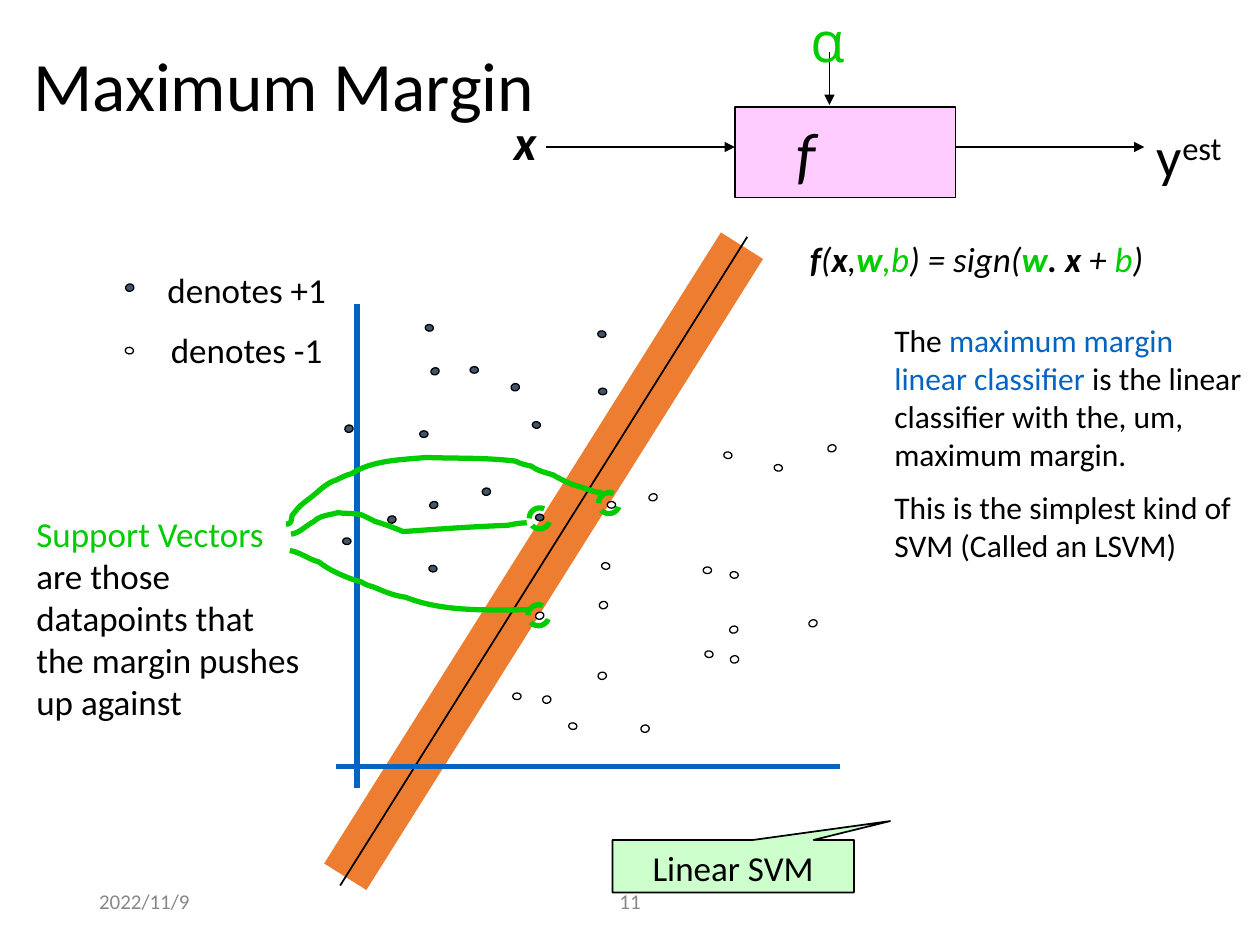
from pptx import Presentation
from pptx.dml.color import RGBColor
from pptx.enum import dml, shapes, text
from pptx.oxml.ns import qn
from pptx.util import Pt
from lxml import etree

COLORS = {"black": "000000", "white": "FFFFFF", "gray": "888888", "navy": "44546A",
          "blue": "0563C1", "green": "00CC00", "orange": "ED7D31",
          "pink": "FFCCFF", "mint": "CCFFCC"}
ALIGN = {"left": text.PP_ALIGN.LEFT, "mid": text.PP_ALIGN.CENTER}
KIND = shapes.MSO_SHAPE

# Data points by tilt: angle -> (width, height, +1 corners, -1 corners)
DOTS = {
    0: (4.8, 3.8,
        [(195.8, 307.4), (342, 221.8), (268.6, 209.5), (306, 293.8), (239.8, 246.2)],
        [(293, 396), (347, 286.6), (401.8, 324)]),
    341.4: (4.8, 4,
            [(246.2, 210.2), (245.5, 286.6)],
            [(306, 349.9), (473, 254.2), (416.9, 357.8), (370.8, 282.2), (462.2, 354.2)]),
    98.3: (3.8, 4.7,
           [(304.6, 240.5), (245.5, 322.6), (342, 188.6), (243.4, 185)],
           [(72, 198), (325.4, 412.6), (417.6, 326.2), (344.2, 321.1), (442.8, 265),
            (414, 257.8), (403.2, 371.5)]),
    79.6: (4.2, 4.8,
           [(72, 162), (275.8, 278.6), (221.8, 294.5), (292.3, 218.9), (197.3, 242.6)],
           [(366.5, 414), (342, 383.8), (342.7, 343.4), (310.3, 397.4), (417.6, 374.4)]),
}

# Pointers to the support vectors: a start, then Bezier triples
CURVES = [
    [(166.3, 305.3), (171.4, 304.6), (175, 300.2), (179.3, 298.1),
     (182.9, 294.5), (187.9, 294.5), (193, 293), (199.4, 293.8), (202.3, 293), (207.4, 294.5),
     (209.8, 295.7), (212.2, 296.9), (214.6, 298.1),
     (219.6, 299.5), (225.4, 301.7), (230.4, 303.8),
     (249.8, 302.4), (270, 301), (290.2, 300.2), (293.8, 299.5), (297.4, 298.8), (301, 298.8)],
    [(163.4, 299.5), (164.2, 299.5), (165.6, 299.5), (165.6, 298.8),
     (167, 298.1), (166.3, 295.9), (167, 294.5), (167.8, 293), (169.2, 292.3), (169.9, 290.9),
     (171.4, 288.7), (178.6, 283.7), (179.3, 283), (183.6, 279.4), (187.2, 275.8), (192.2, 274.3),
     (195.1, 272.9), (198, 271.4), (200.9, 270.7), (213.1, 262.8), (229.7, 262.8), (243.4, 261.4),
     (260.6, 262.1), (277.2, 261.4), (294.5, 263.5), (297.4, 265), (300.2, 265.7), (303.8, 266.4),
     (307.4, 269.3), (311.8, 270), (316.1, 271.4), (321.1, 274.3), (325.4, 276.5), (330.5, 277.9),
     (335.5, 279.4), (339.8, 281.5), (344.2, 281.5)],
    [(165.6, 314.6), (171.4, 315.4), (176.4, 319.7), (182.2, 321.1),
     (188.6, 326.2), (198.7, 330.5), (206.6, 332.6), (209.5, 334.8), (212.4, 334.8), (215.3, 336.2),
     (220.3, 338.4), (226.1, 340.6), (231.8, 341.3), (253.4, 349.9), (279.4, 348.5), (302.4, 348.5)],
]
RINGS = [(342, 281.5), (302.4, 290.2), (301.7, 345.6)]


def rgb(name):
    return RGBColor.from_string(COLORS[name])


def write(frame, paras, size, color="black", align="left", font="Calibri", gap=0,
          anchor=text.MSO_ANCHOR.TOP):
    """Each paragraph is a list of (words, style); style holds color, b, i or base."""
    frame.word_wrap = True
    frame.vertical_anchor = anchor
    for n, runs in enumerate(paras):
        para = frame.paragraphs[0] if n == 0 else frame.add_paragraph()
        para.alignment = ALIGN[align]
        para.space_before = Pt(gap if n else 0)
        para.font.size, para.font.name = Pt(size), font
        para.font.color.rgb = rgb(color)
        for words, style in runs:
            run = para.add_run()
            run.text = words
            if "color" in style:
                run.font.color.rgb = rgb(style["color"])
            if "b" in style:
                run.font.bold = style["b"]
            if "i" in style:
                run.font.italic = style["i"]
            if "base" in style:
                run._r.get_or_add_rPr().set("baseline", str(style["base"] * 1000))


def label(slide, box, paras, size, **opts):
    frame = slide.shapes.add_textbox(*map(Pt, box)).text_frame
    write(frame, paras, size, **opts)
    return frame


def paint(item, fill, line, width):
    item.shadow.inherit = False
    if fill:
        item.fill.solid()
        item.fill.fore_color.rgb = rgb(fill)
    else:
        item.fill.background()
    item.line.color.rgb = rgb(line)
    item.line.width = Pt(width)


def shape(slide, kind, box, fill=None, line="black", width=1):
    item = slide.shapes.add_shape(kind, *map(Pt, box))
    paint(item, fill, line, width)
    return item


def line(slide, ends, color="black", width=1, arrow=False):
    item = slide.shapes.add_connector(shapes.MSO_CONNECTOR.STRAIGHT, *map(Pt, ends))
    item.line.color.rgb = rgb(color)
    item.line.width = Pt(width)
    if arrow:
        etree.SubElement(item.line._get_or_add_ln(), qn("a:tailEnd"), type="triangle")
    etree.SubElement(item._element.spPr, qn("a:effectLst"))


def curve(slide, pts):
    build = slide.shapes.build_freeform(*map(Pt, pts[0]))
    build.add_line_segments([tuple(map(Pt, p)) for p in pts[1:]], close=False)
    item = build.convert_to_shape()
    paint(item, None, "green", 3)
    # Join each three segments into one Bezier
    segs = list(item._element.iter(qn("a:lnTo")))
    for k in range(0, len(segs), 3):
        first, *rest = segs[k:k + 3]
        first.tag = qn("a:cubicBezTo")
        for seg in rest:
            first.append(seg[0])
            seg.getparent().remove(seg)


def dots(slide):
    for tilt, (wide, high, plus, minus) in DOTS.items():
        for fill, spots in (("navy", plus), ("white", minus)):
            for spot in spots:
                shape(slide, KIND.OVAL, (*spot, wide, high), fill, width=0.75).rotation = tilt


def flow(slide):
    """Input, function box, parameter and output."""
    box = shape(slide, KIND.RECTANGLE, (420, 61, 126, 52), "pink")
    write(box.text_frame, [[("f", {"i": True})]], 36, align="mid",
          anchor=text.MSO_ANCHOR.MIDDLE)
    box.text_frame.margin_right = Pt(52)
    for ends in ((312, 84, 420, 84), (474, 30, 474, 60), (546, 84, 654, 84)):
        line(slide, ends, arrow=True)
    label(slide, (276, 60, 48, 41), [[("x", {"b": True, "i": True})]], 28, align="mid")
    label(slide, (456, 0, 30, 45), [[("α", {})]], 32, color="green", align="mid",
          font="Open Sans")
    label(slide, (654, 66, 66, 45), [[("y", {}), ("est", {"base": 30})]], 32)


def notes(slide):
    """Legend, formula and explanations."""
    label(slide, (66, 150, 150, 67), [[("denotes +1", {})], [("denotes -1", {})]], 20,
          align="mid", gap=10)
    bold, slant = {"b": True, "i": True}, {"i": True}
    green = {"color": "green"}
    label(slide, (432, 132, 252, 31), [[
        ("f", bold), ("(", slant), ("x", bold), (",", slant), ("w", bold | green),
        (",b", slant | green), (") = sign(", slant), ("w", bold | green), (". x ", bold),
        ("+ ", slant), ("b", slant | green), (")", slant)]], 20, align="mid")
    label(slide, (504, 180, 216, 309), [
        [("The ", {}), ("maximum margin linear classifier", {"color": "blue"}),
         (" is the linear classifier with the, um, maximum margin.", {})],
        [("This is the simplest kind of SVM (Called an LSVM)", {})]], 18, gap=9)
    label(slide, (13.7, 289.5, 167, 151), [
        [("Support Vectors ", green),
         ("are those datapoints that the margin pushes up against", {})]], 20)


def main():
    deck = Presentation()
    deck.slide_width, deck.slide_height = Pt(720), Pt(540)
    slide = deck.slides.add_slide(deck.slide_layouts[6])
    middle = text.MSO_ANCHOR.MIDDLE

    # Footer
    label(slide, (49.5, 500.5, 162, 29), [[("2022/11/9", {})]], 12, color="gray", anchor=middle)
    label(slide, (238.5, 500.5, 243, 29), [[("11", {})]], 12, color="gray", align="mid",
          anchor=middle)

    # Margin band and its boundary
    line(slide, (197.3, 501, 424, 140.4), "orange", 28.5)
    line(slide, (194.4, 506, 427, 135.4))

    # Title and flow
    title = label(slide, (12, 24, 366, 54), [[("Maximum Margin", {})]], 39.6, anchor=middle)
    title.paragraphs[0].line_spacing = 0.9
    flow(slide)

    # Axes and data
    notes(slide)
    line(slide, (204, 174, 204, 450), "blue", 3)
    line(slide, (192, 438, 480, 438), "blue", 3)
    dots(slide)

    # Support vectors
    for pts in CURVES:
        curve(slide, pts)
    for spot in RINGS:
        ring = shape(slide, KIND.OVAL, (*spot, 12, 12), line="green", width=3)
        ring.line.dash_style = dml.MSO_LINE.DASH

    # Callout
    call = shape(slide, KIND.RECTANGULAR_CALLOUT, (350, 480, 138, 30), "mint")
    call.adjustments[0], call.adjustments[1] = 0.65, -0.86
    write(call.text_frame, [[("Linear SVM", {})]], 20, align="mid")

    deck.save("out.pptx")


if __name__ == "__main__":
    main()
